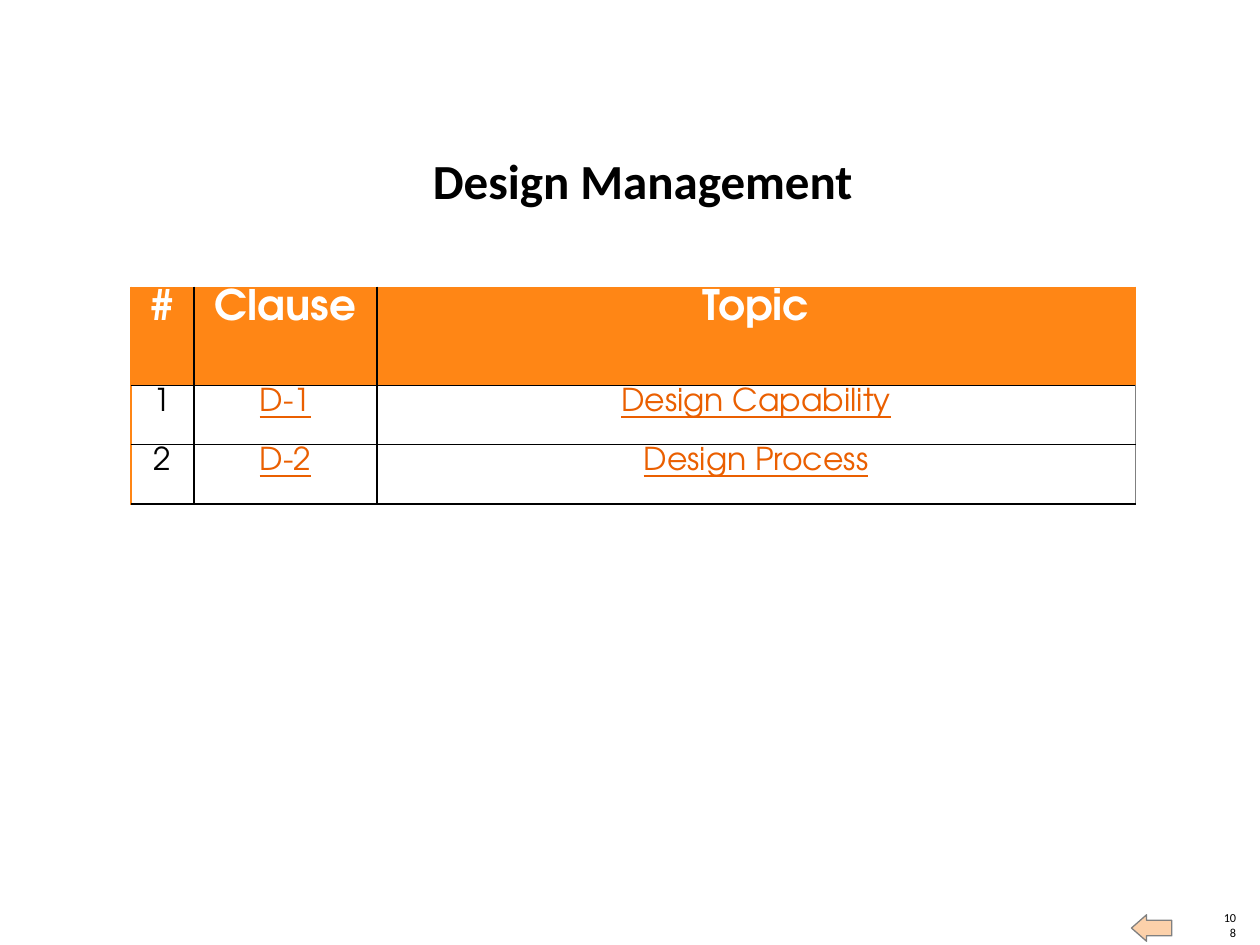
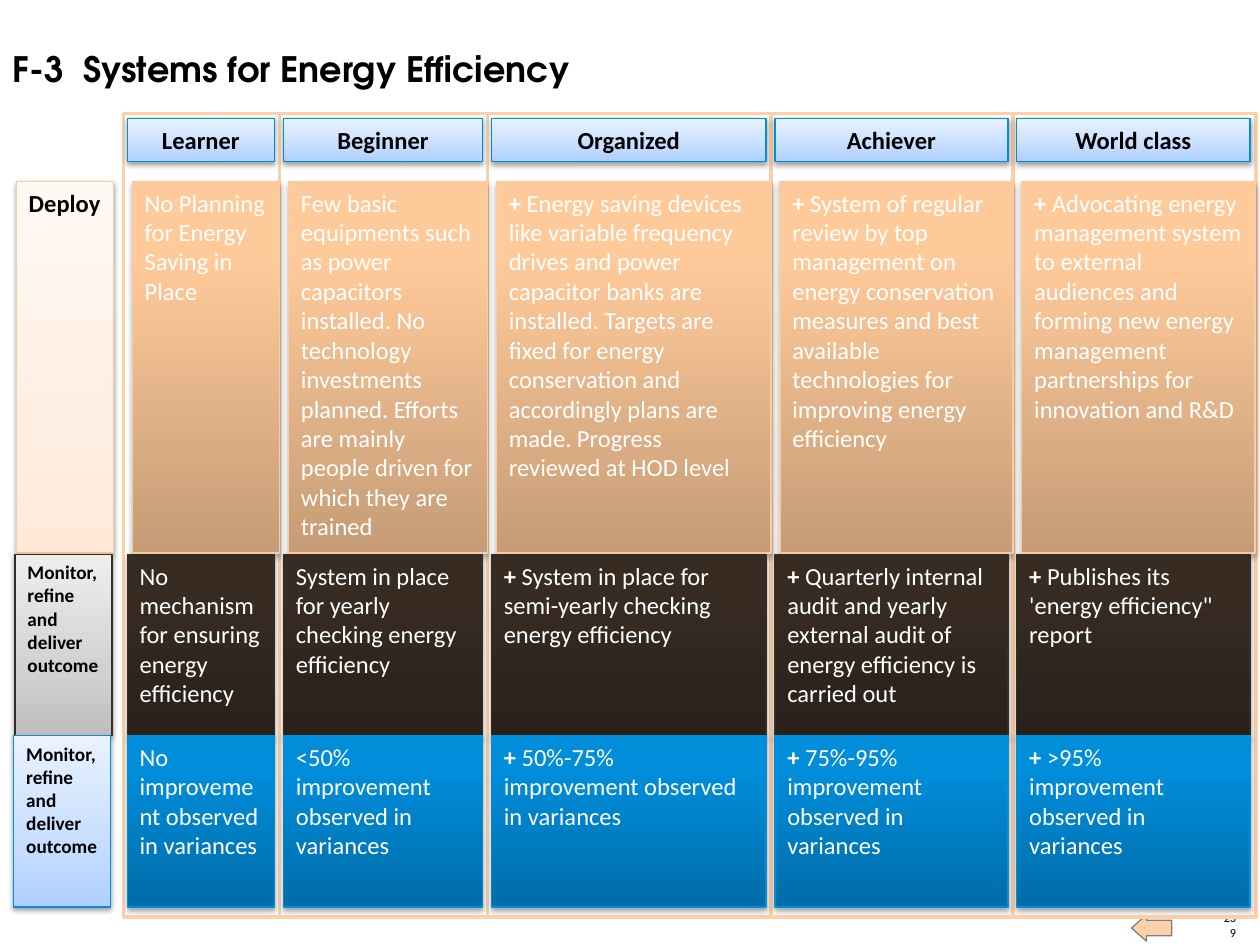
from pptx import Presentation
from pptx.dml.color import RGBColor
from pptx.enum.shapes import MSO_SHAPE
from pptx.enum.text import MSO_ANCHOR, MSO_AUTO_SIZE, PP_ALIGN
from pptx.oxml import parse_xml
from pptx.oxml.ns import nsdecls, qn
from pptx.util import Pt

PX = 9144  # 100 px to the inch
RECTANGLE, RIGHT_ARROW = MSO_SHAPE.RECTANGLE, MSO_SHAPE.RIGHT_ARROW
TOP, MIDDLE, BOTTOM = MSO_ANCHOR.TOP, MSO_ANCHOR.MIDDLE, MSO_ANCHOR.BOTTOM
LEFT, CENTER, RIGHT = PP_ALIGN.LEFT, PP_ALIGN.CENTER, PP_ALIGN.RIGHT
TITLE_ONLY = 5

BODY_FONT, DISPLAY_FONT = "Calibri", "TeX Gyre Adventor"
BLACK, WHITE, GRAY = "000000", "FFFFFF", "808080"
ORANGE, LINK, PEACH = "FF8615", "EA5F00", "FCD1AA"

# Gradient stops from the bottom up, line colour, shadow opacity and distance
LIGHT_PEACH = ([(0, "FFE9D8"), (35, "FFEFE3"), (100, "FFF9F4")], "F8CCA4", 38, 20000)
LIGHT_GRAY = ([(0, "C0BEBC"), (35, "D3D1D0"), (100, "EEEEED")], "352C25", 38, 20000)
LIGHT_BLUE = ([(0, "AECFFF"), (35, "C6DDFF"), (100, "E9F2FF")], "008FDC", 38, 20000)
STRONG_PEACH = ([(0, "C59C76"), (80, "FFCA9A"), (100, "FFCB9C")], "F8CCA4", 35, 23000)
DARK_BROWN = ([(0, "2A211B"), (80, "372B22"), (100, "372B22")], "352C25", 35, 23000)
STRONG_BLUE = ([(0, "006DA8"), (80, "008DDA"), (100, "008EDB")], "008FDC", 35, 23000)

CLAUSES = [("#", "Clause", "Topic"),
           ("1", "D-1", "Design Capability"),
           ("2", "D-2", "Design Process")]

LEVELS = [("Learner", 101, 117), ("Beginner", 225, 158), ("Organized", 390, 218),
          ("Achiever", 615, 185), ("World class", 807, 185)]

MONITOR = "Monitor, refine and deliver outcome"
# Label, its left, top, height, size and style; then cell shift, style and texts
STAGES = [
    ("Deploy", 13, 144, 295, 14, LIGHT_PEACH, 4, STRONG_PEACH, [
        "No Planning for Energy Saving in Place",
        "Few basic equipments such as power capacitors installed. No technology "
        "investments planned. Efforts are mainly people driven for which they are trained",
        "+ Energy saving devices like variable frequency drives and power capacitor "
        "banks are installed. Targets are fixed for energy conservation and accordingly "
        "plans are made. Progress reviewed at HOD level",
        "+ System of regular review by top management on energy conservation measures "
        "and best available technologies for improving energy efficiency",
        "+ Advocating energy management system to external audiences and forming new "
        "energy management partnerships for innovation and R&D"]),
    (MONITOR, 12, 440, 144, 11, LIGHT_GRAY, 0, DARK_BROWN, [
        "No mechanism for ensuring energy efficiency",
        "System in place for yearly checking energy efficiency",
        "+ System in place for semi-yearly checking energy efficiency",
        "+ Quarterly internal audit and yearly external audit of energy efficiency "
        "is carried out",
        "+ Publishes its 'energy efficiency\" report"]),
    (MONITOR, 11, 584, 136, 11, LIGHT_BLUE, 0, STRONG_BLUE, [
        "No improvement observed in variances",
        "<50% improvement observed in variances",
        "+ 50%-75% improvement observed in variances",
        "+ 75%-95% improvement observed in variances",
        "+ >95% improvement observed in variances"]),
]


def rgb(color):
    return RGBColor.from_string(color)


def box(left, top, width, height):
    return [length * PX for length in (left, top, width, height)]


def write(frame, text, size, color, font=BODY_FONT, bold=False, align=LEFT):
    """Fill the first paragraph; a leading plus sign is always bold."""
    paragraph = frame.paragraphs[0]
    paragraph.alignment = align
    paragraph.font.name = font
    paragraph.font.size = Pt(size)
    paragraph.font.bold = bold
    paragraph.font.color.rgb = rgb(color)
    if text.startswith("+ "):
        plus = paragraph.add_run()
        plus.text = "+ "
        plus.font.bold = True
        text = text[2:]
    paragraph.add_run().text = text
    return paragraph


def set_frame(frame, anchor, margin=None):
    frame.word_wrap = True
    frame.auto_size = MSO_AUTO_SIZE.NONE
    frame.vertical_anchor = anchor
    if margin is not None:
        frame.margin_left = frame.margin_right = margin
        frame.margin_top = frame.margin_bottom = margin


def add_title(slide, text, place, size, **style):
    title = slide.shapes.title
    title.left, title.top, title.width, title.height = box(*place)
    write(title.text_frame, text, size, BLACK, bold=True, **style)
    return title


def add_plain_shape(slide, kind, place, fill, line, line_width):
    shape = slide.shapes.add_shape(kind, *box(*place))
    shape.shadow.inherit = False
    shape.fill.solid()
    shape.fill.fore_color.rgb = rgb(fill)
    shape.line.color.rgb = rgb(line)
    shape.line.width = Pt(line_width)
    return shape


def add_footer(slide, number):
    text_box = slide.shapes.add_textbox(*box(969, 734, 12, 12))
    set_frame(text_box.text_frame, BOTTOM, 0)
    write(text_box.text_frame, number, 7, BLACK, align=RIGHT)
    arrow = add_plain_shape(slide, RIGHT_ARROW, (898, 726, 32, 21), PEACH, GRAY, 0.75)
    arrow.rotation = 180
    arrow.adjustments[0], arrow.adjustments[1] = 0.59, 0.57


def add_glossy_box(slide, place, style, text, size, color, anchor=TOP, **text_style):
    """Add a rectangle with a gradient from the bottom up and a soft shadow."""
    stops, line, opacity, distance = style
    shape = add_plain_shape(slide, RECTANGLE, place, WHITE, line, 0.75)
    stop_xml = "".join(f'<a:gs pos="{position * 1000}"><a:srgbClr val="{stop}"/></a:gs>'
                       for position, stop in stops)
    gradient = parse_xml(
        f'<a:gradFill {nsdecls("a")} rotWithShape="1"><a:gsLst>{stop_xml}</a:gsLst>'
        '<a:lin ang="16200000" scaled="0"/></a:gradFill>')
    shadow = parse_xml(
        f'<a:outerShdw {nsdecls("a")} blurRad="40000" dist="{distance}" dir="5400000" '
        f'rotWithShape="0"><a:srgbClr val="{BLACK}"><a:alpha val="{opacity * 1000}"/>'
        '</a:srgbClr></a:outerShdw>')
    properties = shape._element.spPr
    properties.replace(properties.find(qn("a:solidFill")), gradient)
    properties.find(qn("a:effectLst")).append(shadow)
    set_frame(shape.text_frame, anchor)
    write(shape.text_frame, text, size, color, **text_style)


def set_borders(cell, **edges):
    """Draw cell edges, each given as a colour and a width in points."""
    properties = cell._tc.get_or_add_tcPr()
    for edge in "LRTB":
        color, width = edges.get(edge, (BLACK, 1))
        properties.append(parse_xml(
            f'<a:ln{edge} {nsdecls("a")} w="{Pt(width)}"><a:solidFill>'
            f'<a:srgbClr val="{color}"/></a:solidFill></a:ln{edge}>'))


def add_clause_table(slide):
    table = slide.shapes.add_table(3, 3, *box(104, 228, 797, 172)).table
    table.horz_banding = False
    for column, width in zip(table.columns, (50, 145, 602)):
        column.width = width * PX
    for row, height in zip(table.rows, (78, 47, 47)):
        row.height = height * PX
    for row_index, texts in enumerate(CLAUSES):
        header = row_index == 0
        for column_index, text in enumerate(texts):
            cell = table.cell(row_index, column_index)
            cell.margin_left = cell.margin_right = 7 * PX
            cell.margin_top = cell.margin_bottom = 4 * PX
            edges = {}
            if header:
                edges["T"] = (ORANGE, 0.75)
            if column_index == 0:
                edges["L"] = (ORANGE, 0.75)
            if column_index == 2:
                edges["R"] = (ORANGE, 0.75) if header else (GRAY, 0.5)
            set_borders(cell, **edges)
            cell.fill.solid()
            cell.fill.fore_color.rgb = rgb(ORANGE if header else WHITE)
            linked = not header and column_index > 0
            color = WHITE if header else LINK if linked else BLACK
            paragraph = write(cell.text_frame, text, 24 if header else 18, color,
                              font=DISPLAY_FONT, bold=header, align=CENTER)
            paragraph.line_spacing = 0.9
            paragraph.font.underline = linked


def add_maturity_grid(slide):
    for _, left, width in LEVELS:
        add_plain_shape(slide, RECTANGLE, (left - 3, 90, width + 8, 638), WHITE, PEACH, 2)
    for label, label_left, top, height, size, label_style, shift, style, texts in STAGES:
        add_glossy_box(slide, (label_left, top, 77, height), label_style, label, size,
                       BLACK, bold=True)
        for (_, left, width), text in zip(LEVELS, texts):
            add_glossy_box(slide, (left + shift, top, width, height), style, text, 14, WHITE)
    for name, left, width in LEVELS:
        add_glossy_box(slide, (left, 94, width, 34), LIGHT_BLUE, name, 14, BLACK,
                       anchor=MIDDLE, bold=True, align=CENTER)


def main():
    presentation = Presentation()
    presentation.slide_width, presentation.slide_height = 1000 * PX, 750 * PX
    layout = presentation.slide_layouts[TITLE_ONLY]

    design = presentation.slides.add_slide(layout)
    title = add_title(design, "Design Management", (303, 119, 414, 47), 28, align=CENTER)
    set_frame(title.text_frame, BOTTOM, 0)
    add_footer(design, "108")
    add_clause_table(design)

    energy = presentation.slides.add_slide(layout)
    title = add_title(energy, "F-3  Systems for Energy Efficiency", (0, 33, 860, 44), 20,
                      font=DISPLAY_FONT)
    set_frame(title.text_frame, TOP)
    add_footer(energy, "239")
    add_maturity_grid(energy)

    presentation.save("out.pptx")


if __name__ == "__main__":
    main()
